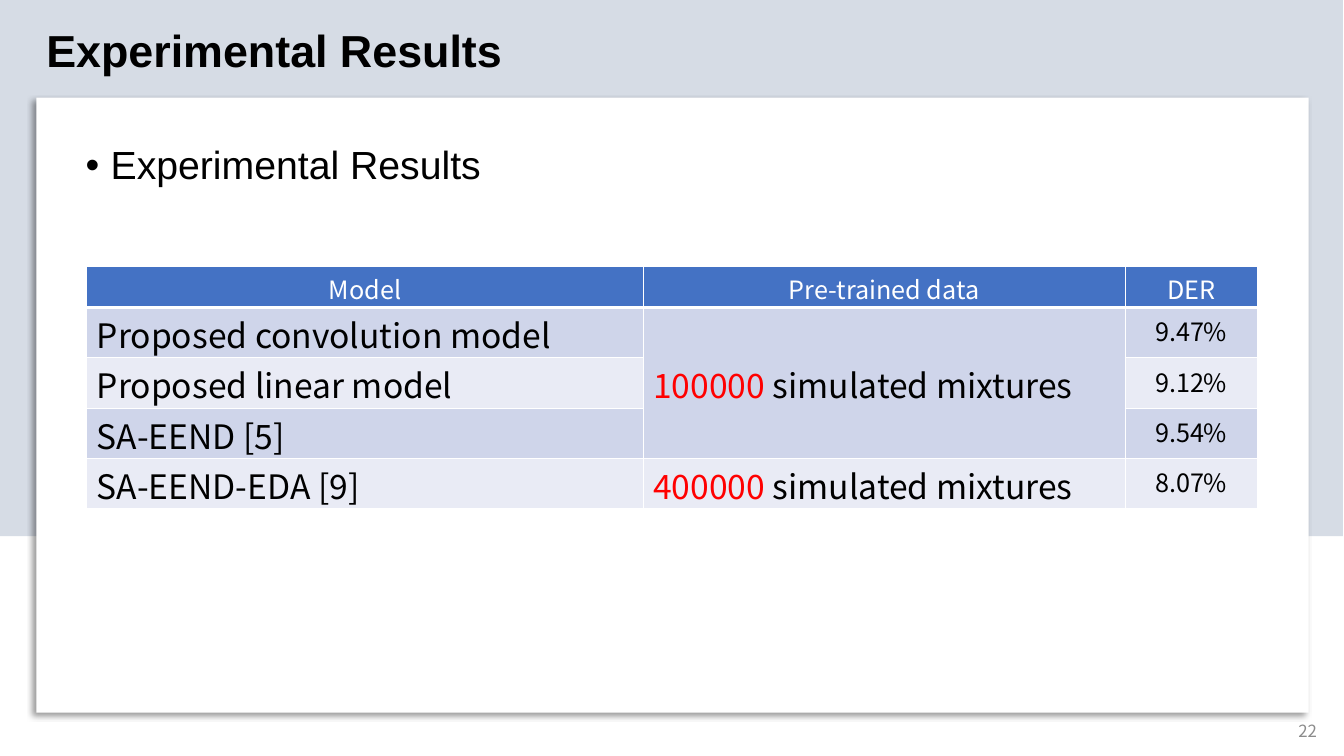
from lxml import etree
from pptx import Presentation
from pptx.dml.color import RGBColor
from pptx.enum.shapes import MSO_SHAPE
from pptx.enum.text import MSO_ANCHOR, MSO_AUTO_SIZE, PP_ALIGN as AL
from pptx.oxml import parse_xml
from pptx.oxml.ns import nsdecls, qn
from pptx.util import Inches, Pt

BLACK = RGBColor(0x00, 0x00, 0x00)
WHITE = RGBColor(0xFF, 0xFF, 0xFF)
RED = RGBColor(0xFF, 0x00, 0x00)
GREY = RGBColor(0x8C, 0x8C, 0x8C)
BACKDROP = RGBColor(0xD6, 0xDC, 0xE5)
HEADER = RGBColor(0x44, 0x72, 0xC4)
BANDS = RGBColor(0xCF, 0xD5, 0xEA), RGBColor(0xE9, 0xEB, 0xF5)

COLUMNS = [("Model", 5.52), ("Pre-trained data", 4.78), ("DER", 1.31)]
RESULTS = [
    ("Proposed convolution model", "100000", "9.47%"),
    ("Proposed linear model", None, "9.12%"),
    ("SA-EEND [5]", None, "9.54%"),
    ("SA-EEND-EDA [9]", "400000", "8.07%"),
]
HEADER_HEIGHT, ROW_HEIGHT = 0.41, 0.5


class SlideBuilder:
    heading_font = "Arial"
    body_font = "Noto Sans CJK KR"

    def __init__(self, prs):
        self.s = prs.slides.add_slide(prs.slide_layouts[5])

    def run(self, p, text, size, color=BLACK, font=None, bold=False):
        r = p.add_run()
        r.text = text
        r.font.name = font or self.body_font
        r.font.size = Pt(size)
        r.font.bold = bold
        r.font.color.rgb = color

    def rect(self, box, color):
        shape = self.s.shapes.add_shape(MSO_SHAPE.RECTANGLE, *map(Inches, box))
        shape.fill.solid()
        shape.fill.fore_color.rgb = color
        shape.line.fill.background()
        shape.shadow.inherit = False
        return shape

    def panel(self, box):
        """White rectangle with a soft shadow to the lower left."""
        effects = self.rect(box, WHITE).element.spPr.find(qn("a:effectLst"))
        effects.append(parse_xml(
            f'<a:outerShdw {nsdecls("a")} blurRad="{Pt(4)}" dist="{Pt(3)}" '
            f'dir="{135 * 60000}" algn="tr" rotWithShape="0">'
            '<a:srgbClr val="000000"><a:alpha val="40000"/></a:srgbClr>'
            '</a:outerShdw>'))

    def title(self, box, text):
        title = self.s.shapes.title
        title.element.getparent().append(title.element)  # bring to front
        title.left, title.top, title.width, title.height = map(Inches, box)
        tf = title.text_frame
        tf.word_wrap = False
        tf.auto_size = MSO_AUTO_SIZE.SHAPE_TO_FIT_TEXT
        tf.vertical_anchor = MSO_ANCHOR.TOP
        p = tf.paragraphs[0]
        p.alignment = AL.LEFT
        self.run(p, text, 32, font=self.heading_font, bold=True)

    def text_box(self, box):
        tf = self.s.shapes.add_textbox(*map(Inches, box)).text_frame
        tf.word_wrap = True
        return tf

    def bullet(self, box, text):
        p = self.text_box(box).paragraphs[0]
        p.line_spacing = 0.9
        p.space_before = Pt(10)
        pPr = p._p.get_or_add_pPr()
        pPr.set("marL", str(Inches(0.25)))
        pPr.set("indent", str(-Inches(0.25)))
        etree.SubElement(pPr, qn("a:buFont")).set("typeface", "Arial")
        etree.SubElement(pPr, qn("a:buChar")).set("char", "•")
        self.run(p, text, 28, font=self.heading_font)

    def page_number(self, box, number):
        tf = self.text_box(box)
        tf.vertical_anchor = MSO_ANCHOR.MIDDLE
        p = tf.paragraphs[0]
        p.alignment = AL.RIGHT
        self.run(p, number, 12, GREY)

    def cell(self, cell, fill, runs, size, align=AL.LEFT, top=0.05, bottom_line=1):
        cell.margin_top, cell.margin_bottom = Inches(top), 0
        p = cell.text_frame.paragraphs[0]
        p.alignment = align
        for text, color in runs:
            self.run(p, text, size, color)
        tcPr = cell._tc.get_or_add_tcPr()
        for side, width in zip("LRTB", (1, 1, 1, bottom_line)):
            tcPr.append(parse_xml(
                f'<a:ln{side} {nsdecls("a")} w="{Pt(width)}"><a:solidFill>'
                f'<a:srgbClr val="{WHITE}"/></a:solidFill></a:ln{side}>'))
        cell.fill.solid()
        cell.fill.fore_color.rgb = fill

    def results_table(self, left, top):
        width = sum(w for _, w in COLUMNS)
        height = HEADER_HEIGHT + ROW_HEIGHT * len(RESULTS)
        table = self.s.shapes.add_table(
            len(RESULTS) + 1, len(COLUMNS),
            *map(Inches, (left, top, width, height))).table
        table.rows[0].height = Inches(HEADER_HEIGHT)
        for c, (name, w) in enumerate(COLUMNS):
            table.columns[c].width = Inches(w)
            self.cell(table.cell(0, c), HEADER, [(name, WHITE)], 18, AL.CENTER,
                      top=0.04, bottom_line=3)
        for i, (model, count, der) in enumerate(RESULTS):
            row, band = i + 1, BANDS[i % 2]
            table.rows[row].height = Inches(ROW_HEIGHT)
            self.cell(table.cell(row, 0), band, [(model, BLACK)], 24, top=0.02)
            if count:
                data = [(count, RED), (" simulated mixtures", BLACK)]
                self.cell(table.cell(row, 1), band, data, 24, top=0.02)
            self.cell(table.cell(row, 2), band, [(der, BLACK)], 18, AL.CENTER)
        shared = table.cell(1, 1)
        shared.merge(table.cell(3, 1))
        shared.vertical_anchor = MSO_ANCHOR.MIDDLE


def main():
    prs = Presentation()
    prs.slide_width, prs.slide_height = Inches(13.33), Inches(7.5)
    slide = SlideBuilder(prs)
    slide.rect((-0.01, 0, 13.33, 5.32), BACKDROP)
    slide.panel((0.36, 0.97, 12.62, 6.1))
    slide.page_number((10.16, 7.05, 3, 0.4), "22")
    slide.title((0.36, 0.18, 4.76, 0.64), "Experimental Results")
    slide.bullet((0.75, 1.4, 11.86, 4.88), "Experimental Results")
    slide.results_table(0.86, 2.64)
    prs.save("out.pptx")


if __name__ == "__main__":
    main()
